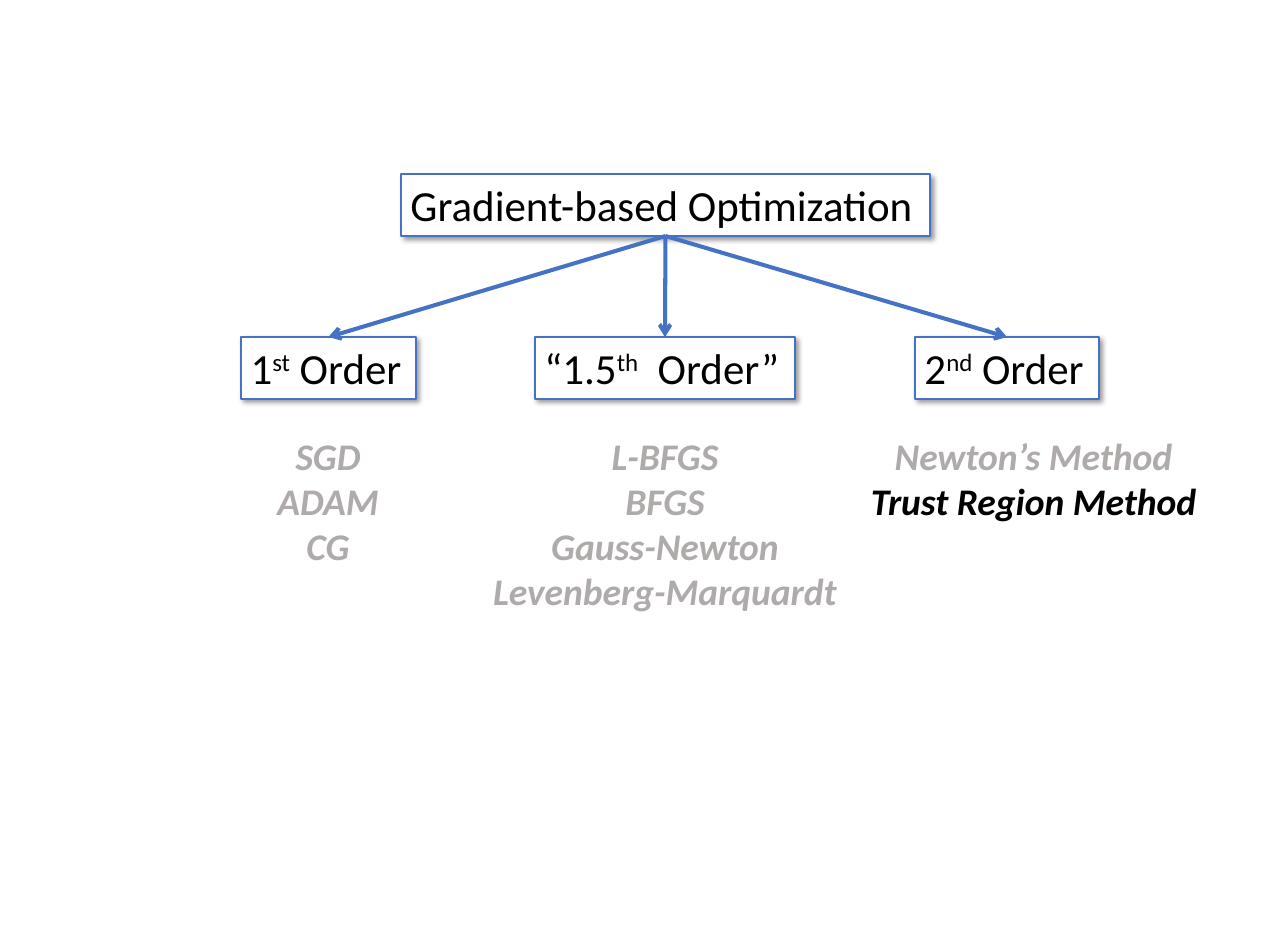
from lxml import etree
from pptx import Presentation
from pptx import util as u
from pptx.dml.color import RGBColor
from pptx.enum import shapes, text
from pptx.oxml import parse_xml
from pptx.oxml.ns import nsdecls, qn

PX = 914400 / 96.6
COLORS = {"box": "FFFFFF", "line": "4472C4", "text": "000000", "muted": "AFABAB"}
HEADING = {"name": "Calibri", "size": u.Pt(32)}
METHOD = {"name": "Calibri", "size": u.Pt(28), "bold": True, "italic": True}
SHADOW = (
    f'<a:outerShdw {nsdecls("a")} blurRad="50800" dist="38100" dir="2700000" '
    'algn="tl" rotWithShape="0"><a:prstClr val="black"><a:alpha val="40000"/>'
    "</a:prstClr></a:outerShdw>"
)


def add_run(paragraph, words, style, color):
    run = paragraph.add_run()
    run.text = words
    for key, value in style.items():
        setattr(run.font, key, value)
    run.font.color.rgb = RGBColor.from_string(COLORS[color])
    return run


def add_heading(left, top, width, parts):
    box = slide.shapes.add_shape(
        shapes.MSO_SHAPE.RECTANGLE, *[int(n * PX) for n in (left, top, width, 62)]
    )
    box.fill.solid()
    box.fill.fore_color.rgb = RGBColor.from_string(COLORS["box"])
    box.line.color.rgb = RGBColor.from_string(COLORS["line"])
    box.line.width = u.Pt(1)
    box.shadow.inherit = False
    box._element.spPr.find(qn("a:effectLst")).append(parse_xml(SHADOW))
    frame = box.text_frame
    frame.word_wrap = False
    frame.auto_size = text.MSO_AUTO_SIZE.SHAPE_TO_FIT_TEXT
    frame.vertical_anchor = text.MSO_ANCHOR.TOP
    frame.paragraphs[0].alignment = text.PP_ALIGN.LEFT
    for index, words in enumerate(parts):
        run = add_run(frame.paragraphs[0], words, HEADING, "text")
        if index == 1:
            run._r.get_or_add_rPr().set("baseline", "30000")
    return box


prs = Presentation()
prs.slide_width, prs.slide_height = int(1288 * PX), int(947 * PX)
slide = prs.slides.add_slide(prs.slide_layouts[6])

root = add_heading(401, 174, 529, ["Gradient-based Optimization"])

orders = [
    (241, 175, ["1", "st", " Order"], 227, 202, ["SGD", "ADAM", "CG"]),
    (535, 260, ["“1.5", "th", "  Order”"], 471, 388,
     ["L-BFGS", "BFGS", "Gauss-Newton", "Levenberg-Marquardt"]),
    (915, 184, ["2", "nd", " Order"], 855, 357,
     ["Newton’s Method", "Trust Region Method"]),
]
for left, width, title, list_left, list_width, methods in orders:
    order = add_heading(left, 337, width, title)

    method_list = slide.shapes.add_textbox(
        *[int(n * PX) for n in (list_left, 428, list_width, 10 + 45 * len(methods))]
    )
    frame = method_list.text_frame
    frame.word_wrap = True
    frame.auto_size = text.MSO_AUTO_SIZE.SHAPE_TO_FIT_TEXT
    for index, method in enumerate(methods):
        line = frame.add_paragraph() if index else frame.paragraphs[0]
        line.alignment = text.PP_ALIGN.CENTER
        color = "text" if method == "Trust Region Method" else "muted"
        add_run(line, method, METHOD, color)

    branch = slide.shapes.add_connector(shapes.MSO_CONNECTOR.STRAIGHT, 0, 0, 0, 0)
    branch.begin_connect(root, 2)
    branch.end_connect(order, 0)
    branch.line.color.rgb = RGBColor.from_string(COLORS["line"])
    branch.line.width = u.Pt(3)
    etree.SubElement(branch.line._get_or_add_ln(), qn("a:tailEnd"), type="arrow")
    etree.SubElement(branch._element.spPr, qn("a:effectLst"))

prs.save("out.pptx")
